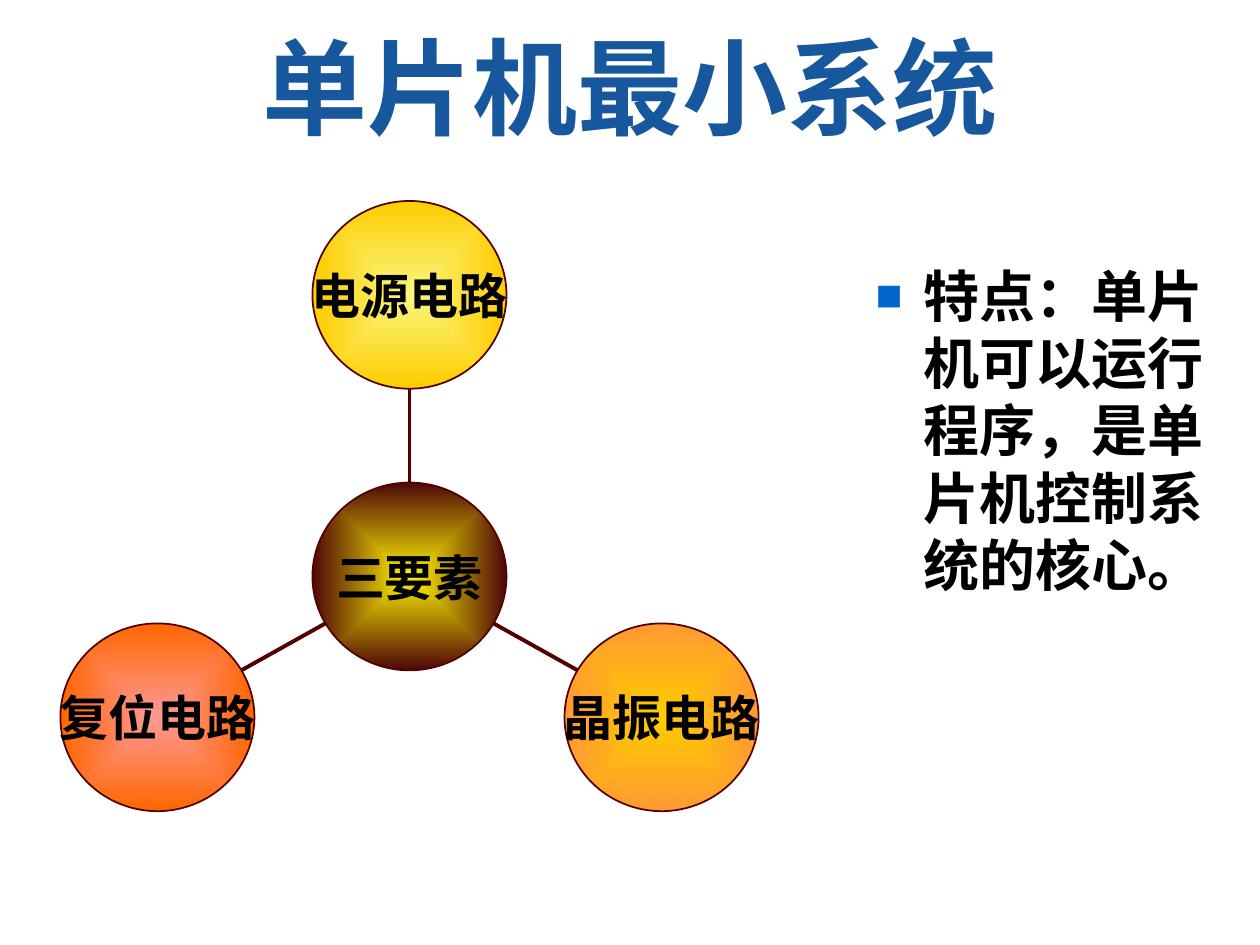
from math import cos, radians, sin

from lxml import etree
from pptx import Presentation
from pptx.dml.color import RGBColor
from pptx.enum.shapes import MSO_CONNECTOR, MSO_SHAPE
from pptx.enum.text import MSO_ANCHOR, PP_ALIGN
from pptx.oxml.ns import qn
from pptx.util import Inches, Pt

STRAIGHT, OVAL = MSO_CONNECTOR.STRAIGHT, MSO_SHAPE.OVAL
LEFT, CENTER = PP_ALIGN.LEFT, PP_ALIGN.CENTER
TOP, MIDDLE = MSO_ANCHOR.TOP, MSO_ANCHOR.MIDDLE

WIDTH, HEIGHT = 10, 7.5
FONT = "Arial"
COLORS = {
    "title": "16579E", "text": "000000", "bullet": "0066CC", "outline": "540000",
    "hub_in": "FFF200", "hub_out": "4D0808",
    "power_in": "F9F67F", "power_out": "FFCC00",
    "reset_in": "FF9997", "reset_out": "FF6600",
    "clock_in": "FFCC00", "clock_out": "FF9933",
}

# The radial diagram: orbits are counted in multiples of the node radii
HUB_X, HUB_Y = 3.25, 4.575
RADIUS_X, RADIUS_Y = 0.77, 0.745
ORBIT = 3
SATELLITES = [("复位电路", "reset", 150), ("晶振电路", "clock", 30), ("电源电路", "power", -90)]


def color(name):
    return RGBColor.from_string(COLORS[name])


def add_bullet(paragraph, char, color_name, percent, indent):
    props = paragraph._p.get_or_add_pPr()
    props.set("marL", str(Inches(indent)))
    props.set("indent", str(-Inches(indent)))
    tint = etree.SubElement(props, qn("a:buClr"))
    etree.SubElement(tint, qn("a:srgbClr"), val=COLORS[color_name])
    etree.SubElement(props, qn("a:buSzPct"), val=str(percent * 1000))
    etree.SubElement(props, qn("a:buFont"), typeface=FONT)
    etree.SubElement(props, qn("a:buChar"), char=char)


def write(shape, text, size, color_name="text", align=LEFT, anchor=TOP,
          margins=(0.1, 0.05), wrap=True, bullet=None):
    frame = shape.text_frame
    frame.word_wrap = wrap
    frame.vertical_anchor = anchor
    frame.margin_left = frame.margin_right = Inches(margins[0])
    frame.margin_top = frame.margin_bottom = Inches(margins[1])
    paragraph = frame.paragraphs[0]
    paragraph.alignment = align
    if bullet:
        add_bullet(paragraph, **bullet)
    run = paragraph.add_run()
    run.text = text
    run.font.name = FONT
    run.font.size = Pt(size)
    run.font.bold = True
    run.font.color.rgb = color(color_name)


def on_orbit(angle, orbit):
    """Point around the hub, in inches."""
    turn = radians(angle)
    return HUB_X + orbit * RADIUS_X * cos(turn), HUB_Y + orbit * RADIUS_Y * sin(turn)


class SlideBuilder:
    def __init__(self, slide):
        self.shapes = slide.shapes

    def text(self, left, top, width, height, text, **style):
        """Text box placed by shares of the slide's size."""
        box = self.shapes.add_textbox(
            Inches(left * WIDTH), Inches(top * HEIGHT),
            Inches(width * WIDTH), Inches(height * HEIGHT))
        write(box, text, **style)

    def spoke(self, angle):
        """Line from the hub's rim to the satellite's rim."""
        ends = on_orbit(angle, 1) + on_orbit(angle, ORBIT - 1)
        line = self.shapes.add_connector(STRAIGHT, *map(Inches, ends))
        line.line.color.rgb = color("outline")
        line.line.width = Pt(2.25)
        etree.SubElement(line.element.spPr, qn("a:effectLst"))

    def node(self, label, palette, angle=0, orbit=0):
        x, y = on_orbit(angle, orbit)
        node = self.shapes.add_shape(
            OVAL, Inches(x - RADIUS_X), Inches(y - RADIUS_Y),
            Inches(2 * RADIUS_X), Inches(2 * RADIUS_Y))
        node.shadow.inherit = False
        node.line.color.rgb = color("outline")
        node.line.width = Pt(1)
        self.glow(node, palette)
        write(node, label, 28, align=CENTER, anchor=MIDDLE, margins=(0, 0), wrap=False)

    def glow(self, node, palette):
        """Rectangular gradient from the centre outwards."""
        node.fill.gradient()
        for stop, part in zip(node.fill.gradient_stops, ("in", "out")):
            stop.color.rgb = color(f"{palette}_{part}")
        gradient = node.element.spPr.find(qn("a:gradFill"))
        gradient.remove(gradient.find(qn("a:lin")))
        shade = etree.SubElement(gradient, qn("a:path"), {"path": "rect"})
        etree.SubElement(shade, qn("a:fillToRect"), dict.fromkeys("ltrb", "50000"))


def main():
    deck = Presentation()
    deck.slide_width, deck.slide_height = Inches(WIDTH), Inches(HEIGHT)
    builder = SlideBuilder(deck.slides.add_slide(deck.slide_layouts[6]))

    # Title and description
    builder.text(0.05, 0.04, 0.9, 0.1, "单片机最小系统", size=60,
                 color_name="title", align=CENTER, anchor=MIDDLE)
    builder.text(0.685, 0.27, 0.315, 0.66,
                 "特点：单片机可以运行程序，是单片机控制系统的核心。", size=32,
                 bullet={"char": "■", "color_name": "bullet", "percent": 80, "indent": 0.38})

    # Satellites with their spokes, then the hub
    for label, palette, angle in SATELLITES:
        builder.spoke(angle)
        builder.node(label, palette, angle, ORBIT)
    builder.node("三要素", "hub")

    deck.save("out.pptx")


if __name__ == "__main__":
    main()
